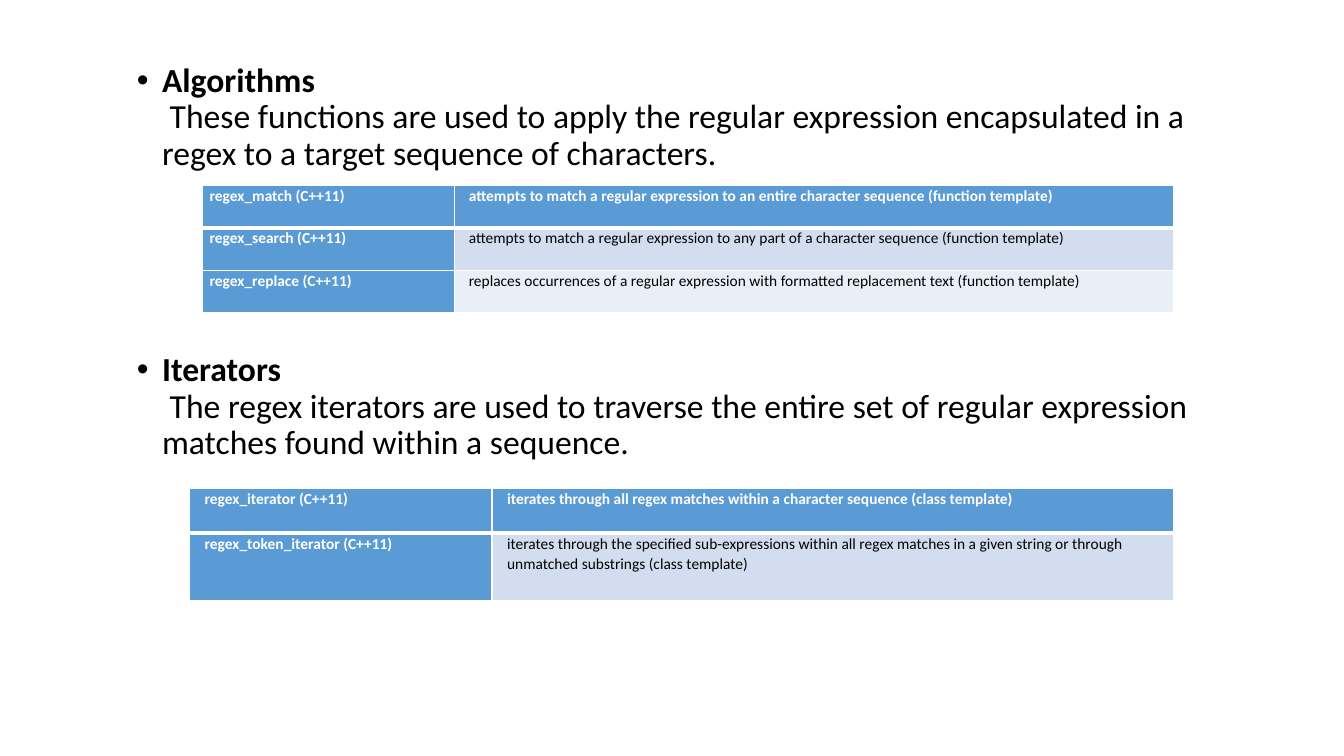
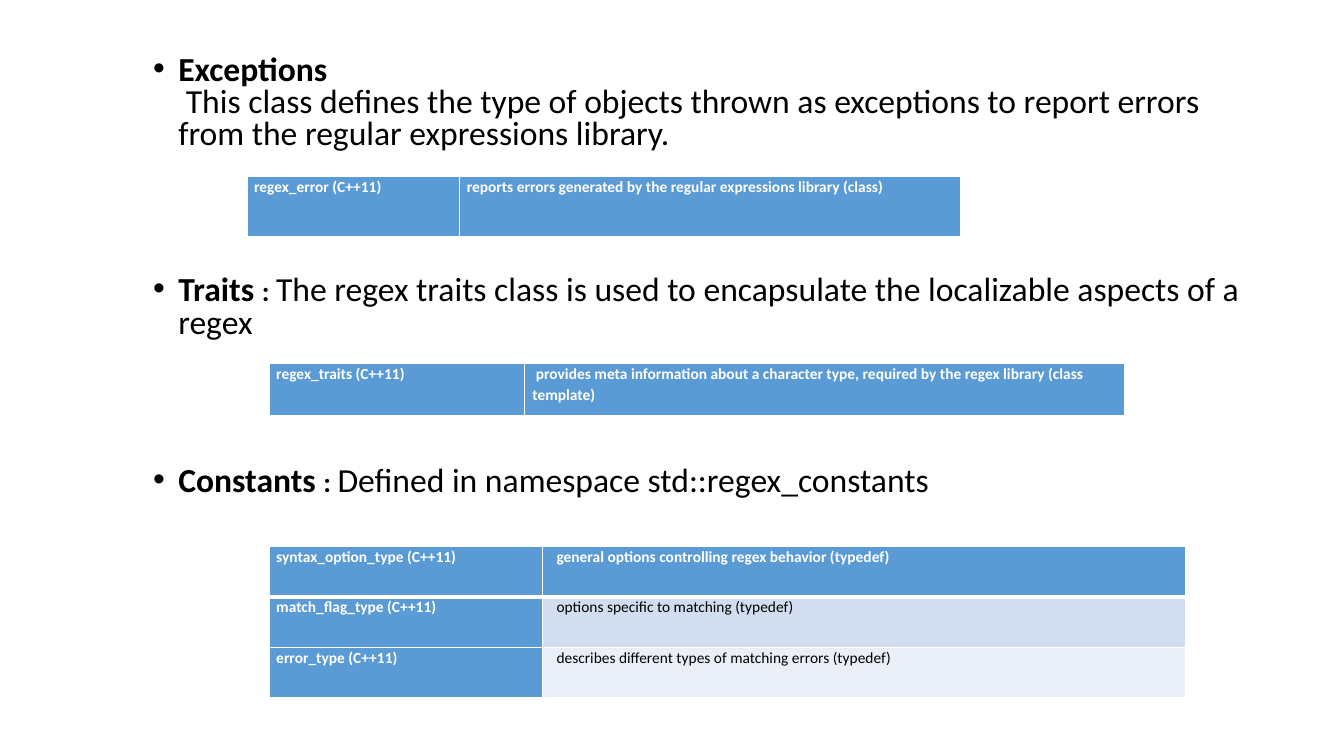
import lxml.etree
import pptx
import pptx.dml.color
import pptx.oxml.ns
import pptx.util
from dataclasses import dataclass


@dataclass(frozen=True)
class Theme:
    font: str = "Calibri"
    text: str = "000000"
    white: str = "FFFFFF"
    accent: str = "5B9BD5"
    bands: tuple = ("D2DEEF", "EAEFF7")
    body_size: int = 24
    colon_size: int = 20
    table_size: int = 11
    rule: int = 1
    header_rule: int = 3
    table_spacing: float = 1.07


THEME = Theme()
PX = 9144  # 100 px to the inch
SLIDE_SIZE = (1333, 750)
TEXT_WIDTH = 1150
LINE_HEIGHT, INSET = 37, 5
BULLET_LEFT, BULLET_HANG = 75, 25
BREAK = "\n"

# sections: top, line count, heading, separator, body
# tables: left, top, column widths, row heights, left margin per column, rows
SLIDES = [
    {
        "left": 76,
        "spacing": 0.9,
        "sections": [
            (58, 3, "Algorithms", BREAK,
             " These functions are used to apply the regular expression "
             "encapsulated in a regex to a target sequence of characters."),
            (345, 3, "Iterators", BREAK,
             " The regex iterators are used to traverse the entire set of "
             "regular expression matches found within a sequence."),
        ],
        "tables": [
            (201, 184, (250, 713), (42, 42, 42), (7, 14), [
                ("regex_match (C++11)",
                 "attempts to match a regular expression to an entire "
                 "character sequence (function template)"),
                ("regex_search (C++11)",
                 "attempts to match a regular expression to any part of a "
                 "character sequence (function template)"),
                ("regex_replace (C++11)",
                 "replaces occurrences of a regular expression with "
                 "formatted replacement text (function template)"),
            ]),
            (188, 485, (300, 676), (44, 67), (15, 15), [
                ("regex_iterator (C++11)",
                 "iterates through all regex matches within a character "
                 "sequence (class template)"),
                ("regex_token_iterator (C++11)",
                 "iterates through the specified sub-expressions within all "
                 "regex matches in a given string or through unmatched "
                 "substrings (class template)"),
            ]),
        ],
    },
    {
        "left": 92,
        "spacing": 0.8,
        "sections": [
            (50, 3, "Exceptions", BREAK,
             " This class defines the type of objects thrown as exceptions "
             "to report errors from the regular expressions library."),
            (269, 2, "Traits ", ": ",
             "The regex traits class is used to encapsulate the localizable "
             "aspects of a regex"),
            (458, 1, "Constants ", ": ",
             "Defined in namespace std::regex_constants"),
        ],
        "tables": [
            (245, 175, (211, 497), (61,), (7, 7), [
                ("regex_error (C++11)",
                 "reports errors generated by the regular expressions "
                 "library (class)"),
            ]),
            (267, 361, (253, 595), (53,), (7, 8), [
                ("regex_traits (C++11)",
                 " provides meta information about a character type, "
                 "required by the regex library (class template)"),
            ]),
            (267, 542, (271, 638), (50, 50, 50), (7, 14), [
                ("syntax_option_type (C++11)",
                 "general options controlling regex behavior (typedef)"),
                ("match_flag_type (C++11)",
                 "options specific to matching (typedef)"),
                ("error_type (C++11)",
                 "describes different types of matching errors (typedef)"),
            ]),
        ],
    },
]


def px(*lengths):
    return [pptx.util.Emu(n * PX) for n in lengths]


def rgb(value):
    return pptx.dml.color.RGBColor.from_string(value)


def sub(parent, tag, **attrs):
    return lxml.etree.SubElement(parent, pptx.oxml.ns.qn(tag), **attrs)


def style_run(r, size, color, bold):
    r.font.name = THEME.font
    r.font.size = pptx.util.Pt(size)
    r.font.bold = bold
    r.font.color.rgb = rgb(color)


def add_section(s, left, spacing, section):
    top, lines, heading, separator, body = section
    box = px(left, top, TEXT_WIDTH, lines * LINE_HEIGHT + 2 * INSET)
    tf = s.shapes.add_textbox(*box).text_frame
    tf.word_wrap = True
    p = tf.paragraphs[0]
    p.line_spacing = spacing
    pPr = p._p.get_or_add_pPr()
    pPr.set("marL", str(BULLET_LEFT * PX))
    pPr.set("indent", str(-BULLET_HANG * PX))
    sub(pPr, "a:buFont", typeface="Arial")
    sub(pPr, "a:buChar", char="•")
    for text, size, bold in ((heading, THEME.body_size, True),
                             (separator, THEME.colon_size, True),
                             (body, THEME.body_size, False)):
        if text == BREAK:
            p.add_line_break()
            continue
        r = p.add_run()
        r.text = text
        style_run(r, size, THEME.text, bold)


def set_borders(cell, row):
    """White rules, with a heavier one under the header row."""
    widths = {"L": THEME.rule, "R": THEME.rule,
              "T": THEME.header_rule if row == 1 else THEME.rule,
              "B": THEME.header_rule if row == 0 else THEME.rule}
    tcPr = cell._tc.get_or_add_tcPr()
    for side, width in widths.items():
        ln = sub(tcPr, f"a:ln{side}", w=str(pptx.util.Pt(width)))
        sub(sub(ln, "a:solidFill"), "a:srgbClr", val=THEME.white)


def fill_cell(cell, text, row, col, margin):
    heading = row == 0 or col == 0
    set_borders(cell, row)
    cell.fill.solid()
    cell.fill.fore_color.rgb = rgb(
        THEME.accent if heading else THEME.bands[(row - 1) % 2])
    cell.margin_left, cell.margin_right = px(margin, 5)
    cell.margin_top = cell.margin_bottom = 0
    p = cell.text_frame.paragraphs[0]
    p.text = text
    p.line_spacing = THEME.table_spacing
    style_run(p.runs[0], THEME.table_size,
              THEME.white if heading else THEME.text, heading)


def add_table(s, left, top, widths, heights, margins, rows):
    frame = s.shapes.add_table(len(rows), len(widths),
                               *px(left, top, sum(widths), sum(heights)))
    table = frame.table
    table.first_col = True
    for column, width in zip(table.columns, px(*widths)):
        column.width = width
    for row, height in zip(table.rows, px(*heights)):
        row.height = height
    for i, texts in enumerate(rows):
        for j, text in enumerate(texts):
            fill_cell(table.cell(i, j), text, i, j, margins[j])


def main():
    prs = pptx.Presentation()
    prs.slide_width, prs.slide_height = px(*SLIDE_SIZE)
    for content in SLIDES:
        s = prs.slides.add_slide(prs.slide_layouts[6])
        for section in content["sections"]:
            add_section(s, content["left"], content["spacing"], section)
        for table in content["tables"]:
            add_table(s, *table)
    prs.save("out.pptx")


if __name__ == "__main__":
    main()
